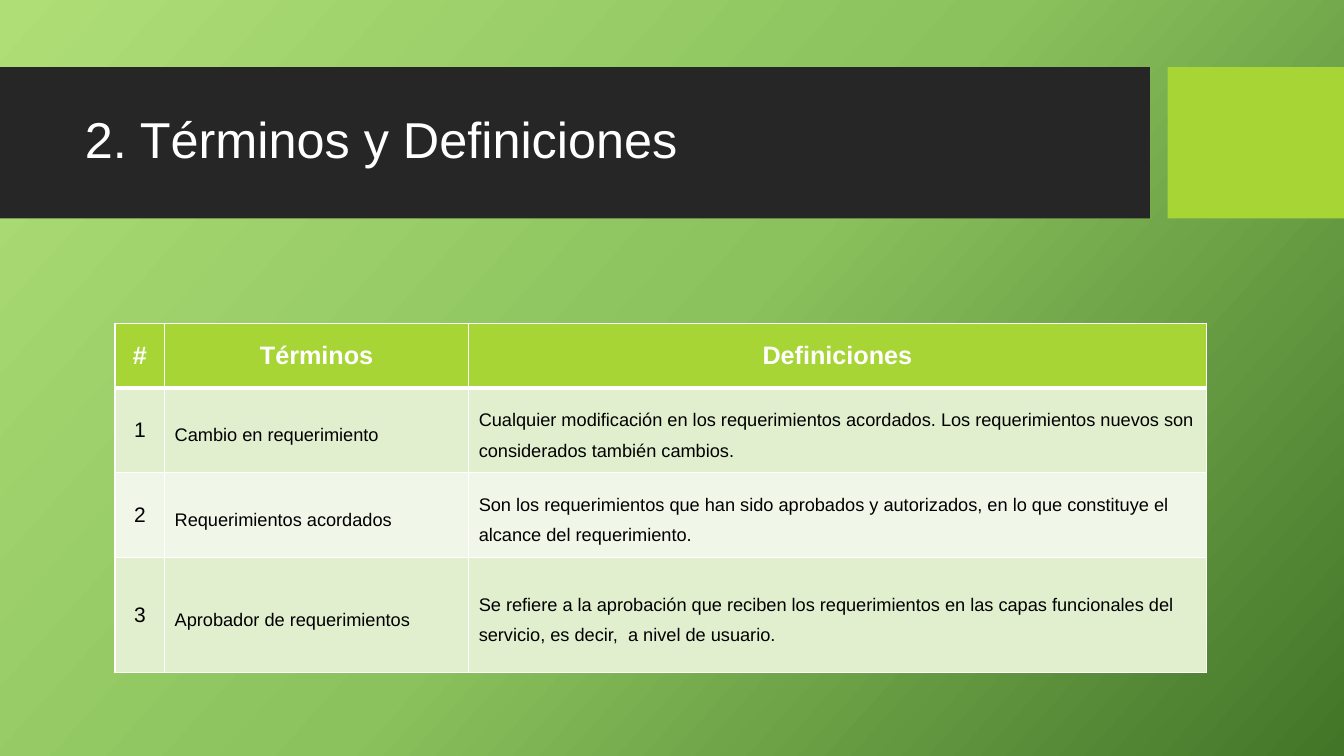
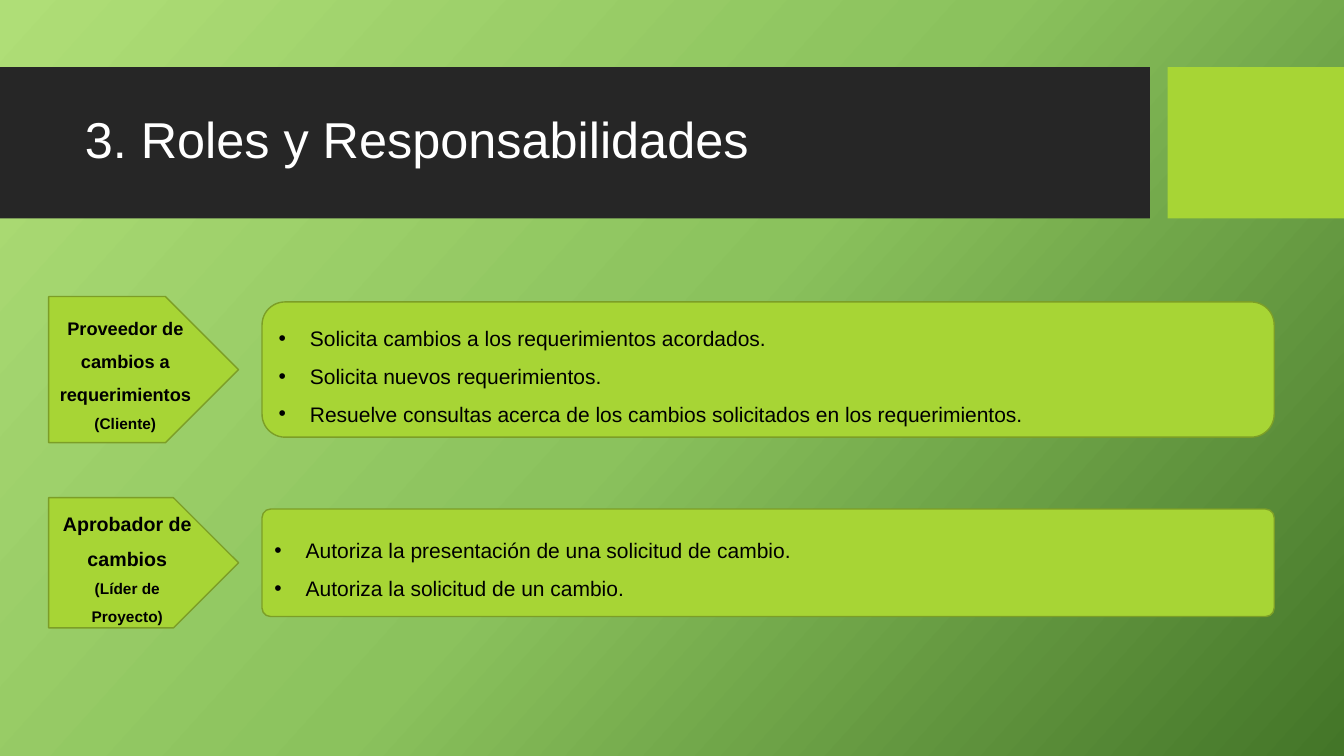
from copy import deepcopy
from dataclasses import dataclass

from lxml import etree
from pptx import Presentation
from pptx import util as u
from pptx.dml.color import RGBColor
from pptx.enum import shapes, text
from pptx.oxml import ns


@dataclass(frozen=True)
class Theme:
    """Colours, type sizes and line widths shared by the slides."""
    font: str = "Arial"
    backdrop: tuple = ((0, "AFDE77"), (0.5, "8BC25D"), (1, "437528"))
    backdrop_angle: int = 42
    band: str = "262626"
    accent: str = "A7D535"
    outline: str = "7C9E27"
    light: str = "FFFFFF"
    ink: str = "000000"
    stripes: tuple = ("E1EFCE", "F1F7E8")
    title: int = 36
    heading: int = 18
    item: int = 15
    definition: int = 13
    note: int = 11
    rule: int = 1
    heavy_rule: int = 3
    spacing: float = 1.5


THEME = Theme()
COLUMNS, ROWS = 160, 90
CELL = u.Inches(7.5) // ROWS

TERMS = (
    ("#", "Términos", "Definiciones"),
    ("1", "Cambio en requerimiento",
     "Cualquier modificación en los requerimientos acordados. "
     "Los requerimientos nuevos son considerados también cambios."),
    ("2", "Requerimientos acordados",
     "Son los requerimientos que han sido aprobados y autorizados, "
     "en lo que constituye el alcance del requerimiento."),
    ("3", "Aprobador de requerimientos",
     "Se refiere a la aprobación que reciben los requerimientos en las capas "
     "funcionales del servicio, es decir,  a nivel de usuario."),
)


def span(cells):
    """Return the length of a number of grid cells."""
    return u.Emu(round(cells * CELL))


def area(*cells):
    """Return left, top, width and height given in grid cells."""
    return [span(count) for count in cells]


def style(paragraph, size, color=THEME.ink, bold=False, align=text.PP_ALIGN.LEFT, spacing=None):
    """Set the font, alignment and line spacing of a paragraph."""
    font = paragraph.font
    font.name, font.size, font.bold = THEME.font, u.Pt(size), bold
    font.color.rgb = RGBColor.from_string(color)
    paragraph.alignment = align
    paragraph.line_spacing = spacing


def add_block(slide, preset, place, fill, line=None):
    """Add a flat preset shape with an optional outline."""
    block = slide.shapes.add_shape(preset, *area(*place))
    block.shadow.inherit = False
    block.fill.solid()
    block.fill.fore_color.rgb = RGBColor.from_string(fill)
    if line:
        block.line.color.rgb = RGBColor.from_string(line)
        block.line.width = u.Pt(THEME.rule)
    else:
        block.line.fill.background()
    return block


def paint_backdrop(layout):
    """Give the layout its diagonal three-colour gradient."""
    fill = layout.background.fill
    fill.gradient()
    fill.gradient_angle = 360 - THEME.backdrop_angle
    stop_list = layout.element.find(".//" + ns.qn("a:gsLst"))
    stop_list.append(deepcopy(stop_list[-1]))
    for stop, (position, color) in zip(fill.gradient_stops, THEME.backdrop):
        stop.position = position
        stop.color.rgb = RGBColor.from_string(color)


def prepare_layout(layout, slide):
    """Put the backdrop, the title bands and the title place on the layout."""
    paint_backdrop(layout)
    for left, width, color in ((0, 136.9, THEME.band), (139, 21, THEME.accent)):
        band = add_block(slide, shapes.MSO_SHAPE.RECTANGLE, (left, 8, width, 18), color)
        layout.shapes.element.insert(2, band.element)
    title = layout.placeholders[0]
    title.left, title.top, title.width, title.height = area(8.9, 9.8, 126.1, 14.2)


def set_title(slide, wording):
    """Fill the title placeholder in the shared title style."""
    frame = slide.shapes.title.text_frame
    frame.text = wording
    frame.vertical_anchor = text.MSO_ANCHOR.MIDDLE
    style(frame.paragraphs[0], THEME.title, THEME.light, spacing=0.9)


def add_borders(cell, bottom_width):
    """Draw the four light borders of a table cell."""
    properties = cell._tc.get_or_add_tcPr()
    for side in "LRTB":
        width = bottom_width if side == "B" else THEME.rule
        border = etree.SubElement(properties, ns.qn("a:ln" + side), w=str(u.Pt(width)))
        paint = etree.SubElement(border, ns.qn("a:solidFill"))
        etree.SubElement(paint, ns.qn("a:srgbClr"), val=THEME.light)


def fill_cell(cell, wording, row, column):
    """Write and colour a cell according to its row and column."""
    header = row == 0
    add_borders(cell, THEME.heavy_rule if header else THEME.rule)
    cell.fill.solid()
    color = THEME.accent if header else THEME.stripes[(row - 1) % 2]
    cell.fill.fore_color.rgb = RGBColor.from_string(color)
    cell.vertical_anchor = text.MSO_ANCHOR.MIDDLE
    cell.text = wording
    paragraph = cell.text_frame.paragraphs[0]
    if header:
        style(paragraph, THEME.heading, THEME.light, True, text.PP_ALIGN.CENTER)
    elif column == 0:
        style(paragraph, THEME.item, align=text.PP_ALIGN.CENTER)
    else:
        style(paragraph, THEME.definition, spacing=THEME.spacing)


def add_terms(slide, records, place, widths, heights):
    """Add the table of terms with its column widths and row heights."""
    size = (sum(widths), sum(heights))
    table = slide.shapes.add_table(len(records), len(widths), *area(*place, *size)).table
    for column, width in zip(table.columns, widths):
        column.width = span(width)
    for row, height in zip(table.rows, heights):
        row.height = span(height)
    for row, record in enumerate(records):
        for column, wording in enumerate(record):
            fill_cell(table.cell(row, column), wording, row, column)


def write_lines(block, lines):
    """Fill a block with one paragraph a line and return the paragraphs."""
    frame = block.text_frame
    frame.word_wrap = True
    frame.vertical_anchor = text.MSO_ANCHOR.MIDDLE
    frame.text = "\n".join(lines)
    return frame.paragraphs


def add_bullet(paragraph):
    """Give a paragraph a round bullet and a hanging indent."""
    properties = paragraph._p.get_or_add_pPr()
    hang = u.Inches(0.31)
    properties.set("marL", str(hang))
    properties.set("indent", str(-hang))
    etree.SubElement(properties, ns.qn("a:buFont"), typeface=THEME.font)
    etree.SubElement(properties, ns.qn("a:buChar"), char="•")


def add_role(slide, middle, height, role, size):
    """Add the pentagon that names a role and who holds it."""
    place = (5.8, middle - height / 2, 22.6, height)
    pentagon = add_block(slide, shapes.MSO_SHAPE.PENTAGON, place, THEME.accent, THEME.outline)
    for paragraph, points in zip(write_lines(pentagon, role), (size, THEME.note)):
        style(paragraph, points, bold=True, align=text.PP_ALIGN.CENTER, spacing=THEME.spacing)


def add_duties(slide, middle, height, duties, rounding):
    """Add the rounded panel that lists the duties of a role."""
    place = (31.2, middle - height / 2, 120.5, height)
    panel = add_block(slide, shapes.MSO_SHAPE.ROUNDED_RECTANGLE, place, THEME.accent, THEME.outline)
    panel.adjustments[0] = rounding
    for paragraph in write_lines(panel, duties):
        add_bullet(paragraph)
        style(paragraph, THEME.item, spacing=THEME.spacing)


def main():
    """Build and save the two slides."""
    deck = Presentation()
    deck.slide_width, deck.slide_height = span(COLUMNS), span(ROWS)
    layout = deck.slide_layouts[5]

    terms = deck.slides.add_slide(layout)
    prepare_layout(layout, terms)
    set_title(terms, "2. Términos y Definiciones")
    add_terms(terms, TERMS, (13.7, 38.5), (5.9, 36.2, 87.8), (7.7, 10.1, 10.1, 13.7))

    roles = deck.slides.add_slide(layout)
    set_title(roles, "3. Roles y Responsabilidades")
    add_role(roles, 44, 17.4, ("Proveedor de cambios a requerimientos", "(Cliente)"), 13)
    add_duties(roles, 44, 16.1, (
        "Solicita cambios a los requerimientos acordados.",
        "Solicita nuevos requerimientos.",
        "Resuelve consultas acerca de los cambios solicitados en los requerimientos.",
    ), 0.17)
    add_role(roles, 67, 15.5, ("Aprobador de cambios", "(Líder de Proyecto)"), 14)
    add_duties(roles, 67, 12.8, (
        "Autoriza la presentación de una solicitud de cambio.",
        "Autoriza la solicitud de un cambio.",
    ), 0.08)

    deck.save("out.pptx")


if __name__ == "__main__":
    main()
